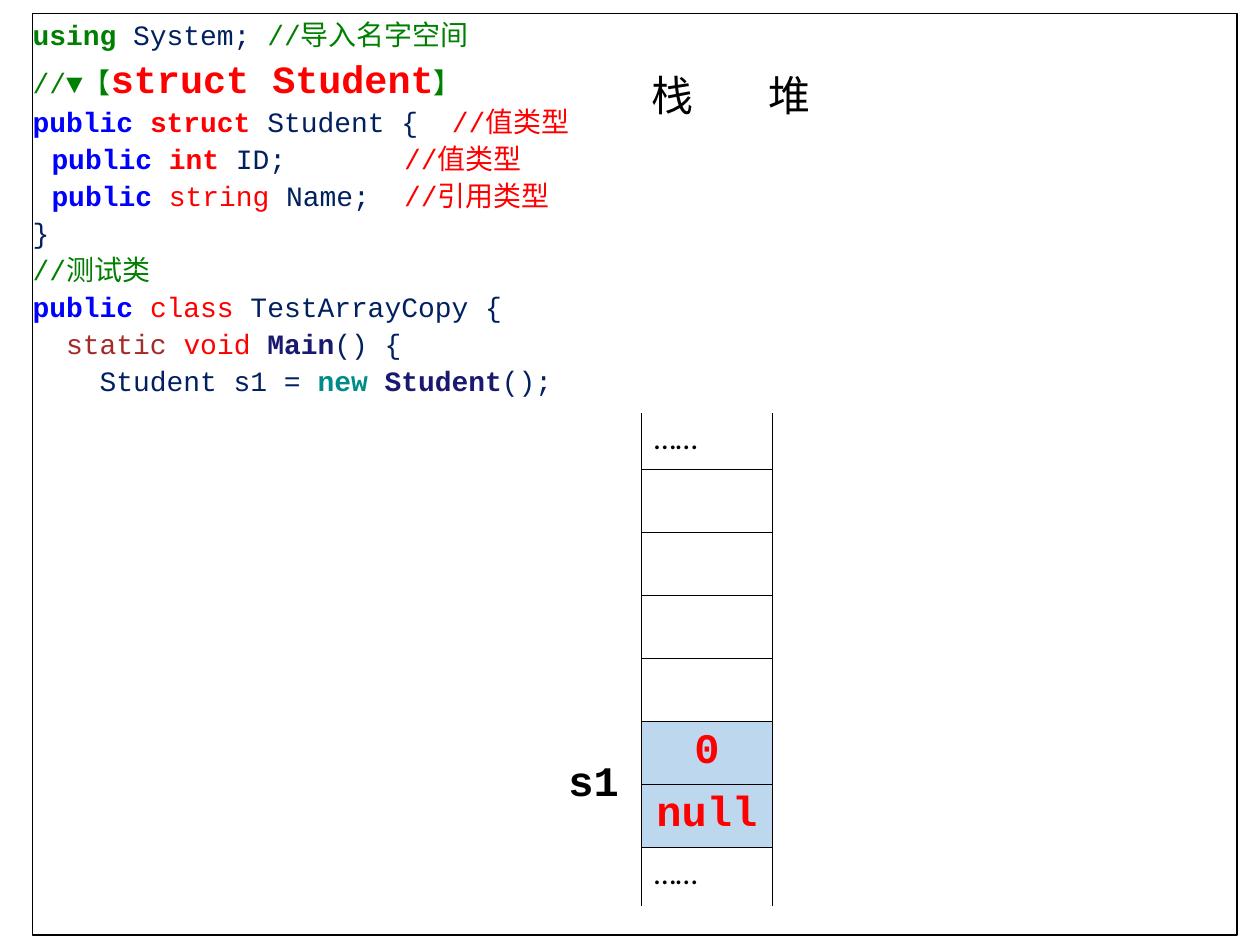
import pptx
import pptx.dml.color
import pptx.enum.shapes
import pptx.enum.text
import pptx.oxml
import pptx.oxml.ns
import pptx.util
from lxml import etree
from pptx.util import Cm, Pt

MONO, CJK, LATIN = "Courier New", "Noto Sans CJK SC", "Calibri"
NAVY, GREEN, RED, BLUE = "002060", "008000", "FF0000", "0000FF"
BROWN, MIDNIGHT, TEAL, BLACK = "A52A2A", "191970", "008B8B", "000000"
PALE_BLUE = "BDD7EE"

# Code: (tab stops in cm, [(text, colour, bold, size)]) for each line
FIELD_STOPS = (0.38, 7.49)
CODE = [
    ((), [("using", GREEN, True, 16), (" System; ", NAVY, False, 16),
          ("//导入名字空间", GREEN, False, 16)]),
    ((), [("//▼【", GREEN, False, 16), ("struct Student", RED, True, 22),
          ("】", GREEN, False, 16)]),
    ((8.45,), [("public ", BLUE, True, 16), ("struct", RED, True, 16),
               (" Student {\t", NAVY, False, 16), ("//值类型", RED, False, 16)]),
    (FIELD_STOPS, [("\tpublic ", BLUE, True, 16), ("int", RED, True, 16),
                   (" ID;\t", NAVY, False, 16), ("//值类型", RED, False, 16)]),
    (FIELD_STOPS, [("\tpublic ", BLUE, True, 16), ("string", RED, False, 16),
                   (" Name;\t", NAVY, False, 16), ("//引用类型", RED, False, 16)]),
    ((), [("}", NAVY, False, 16)]),
    ((), [("//测试类", GREEN, False, 16)]),
    ((), [("public ", BLUE, True, 16), ("class", RED, False, 16),
          (" TestArrayCopy {", NAVY, False, 16)]),
    ((), [("  static ", BROWN, False, 16), ("void ", RED, False, 16),
          ("Main", MIDNIGHT, True, 16), ("() {", NAVY, False, 16)]),
    ((), [("    Student s1 = ", NAVY, False, 16), ("new ", TEAL, True, 16),
          ("Student", MIDNIGHT, True, 16), ("();", NAVY, False, 16)]),
]

# Stack memory: (height in cm, value, sides with a border, fill)
STACK = [
    (1.14, "……", "LRB", None),
    (1.27, "", "LRTB", None),
    (1.27, "", "LRTB", None),
    (1.27, "", "LRTB", "FFFFFF"),
    (1.27, "", "LRTB", "FFFFFF"),
    (1.27, "0", "LRTB", PALE_BLUE),
    (1.27, "null", "LRTB", PALE_BLUE),
    (1.17, "……", "LRT", None),
]
VARIABLES = [(3, 4, ""), (5, 6, "s1")]  # first row, last row, name
HEADINGS = "栈\t堆"


def color(value):
    return pptx.dml.color.RGBColor.from_string(value)


def add_run(paragraph, text, size, font, fill=BLACK, bold=False):
    run = paragraph.add_run()
    run.text = text
    run.font.size, run.font.bold, run.font.name = Pt(size), bold, font
    run.font.fill.solid()
    run.font.fill.fore_color.rgb = color(fill)
    east_asian = pptx.oxml.parse_xml(
        f'<a:ea {pptx.oxml.ns.nsdecls("a")} typeface="{CJK}"/>')
    run.font._element.find(pptx.oxml.ns.qn("a:latin")).addnext(east_asian)


def set_tabs(paragraph, stops):
    if stops:
        tab_list = etree.SubElement(paragraph._p.get_or_add_pPr(),
                                    pptx.oxml.ns.qn("a:tabLst"))
        for stop in stops:
            etree.SubElement(tab_list, pptx.oxml.ns.qn("a:tab"),
                             pos=str(Cm(stop)), algn="l")


def format_cell(cell, sides, fill=None):
    properties = cell._tc.get_or_add_tcPr()
    for side in "LRTB":
        paint = (f'<a:solidFill><a:srgbClr val="{BLACK}"/></a:solidFill>'
                 if side in sides else "<a:noFill/>")
        properties.append(pptx.oxml.parse_xml(
            f'<a:ln{side} {pptx.oxml.ns.nsdecls("a")} w="{Pt(0.45)}">'
            f"{paint}</a:ln{side}>"))
    if fill:
        cell.fill.solid()
        cell.fill.fore_color.rgb = color(fill)
    else:
        cell.fill.background()


def add_code(slide):
    frame = slide.shapes.add_shape(
        pptx.enum.shapes.MSO_SHAPE.RECTANGLE,
        Cm(0.66), Cm(0.28), Cm(24.28), Cm(18.57))
    frame.shadow.inherit = False
    frame.fill.background()
    frame.line.color.rgb = color(BLACK)
    frame.line.width = Pt(0.75)
    code = frame.text_frame
    code.word_wrap = True
    code.vertical_anchor = pptx.enum.text.MSO_ANCHOR.TOP
    code.margin_left = code.margin_right = code.margin_top = code.margin_bottom = 0
    for number, (stops, runs) in enumerate(CODE):
        line = code.add_paragraph() if number else code.paragraphs[0]
        line.alignment = pptx.enum.text.PP_ALIGN.LEFT
        line.line_spacing = 1.1
        set_tabs(line, stops)
        for text, fill, bold, size in runs:
            add_run(line, text, size, MONO, fill, bold)


def add_headings(slide):
    box = slide.shapes.add_textbox(Cm(12.88), Cm(1.27), Cm(7.7), Cm(1.27))
    box.text_frame.word_wrap = True
    heading = box.text_frame.paragraphs[0]
    set_tabs(heading, (2.36,))
    add_run(heading, HEADINGS, 24, CJK)


def add_stack(slide):
    height = sum(row[0] for row in STACK)
    stack = slide.shapes.add_table(
        len(STACK), 2, Cm(11), Cm(8.33), Cm(4.57), Cm(height)).table
    stack.first_row = stack.horz_banding = False
    stack.columns[0].width, stack.columns[1].width = Cm(1.93), Cm(2.64)

    # Memory cells
    for number, (row_height, value, sides, fill) in enumerate(STACK):
        stack.rows[number].height = Cm(row_height)
        format_cell(stack.cell(number, 0), "R")
        slot = stack.cell(number, 1)
        format_cell(slot, sides, fill)
        content = slot.text_frame.paragraphs[0]
        if value == "……":
            add_run(content, value, 18, LATIN)
        elif value:
            content.alignment = pptx.enum.text.PP_ALIGN.CENTER
            add_run(content, value, 24, MONO, RED, True)

    # Variable names beside the cells they occupy
    for first, last, name in VARIABLES:
        label = stack.cell(first, 0)
        label.merge(stack.cell(last, 0))
        label.vertical_anchor = pptx.enum.text.MSO_ANCHOR.MIDDLE
        if name:
            paragraph = label.text_frame.paragraphs[0]
            paragraph.alignment = pptx.enum.text.PP_ALIGN.CENTER
            add_run(paragraph, name, 24, MONO, BLACK, True)


def main():
    deck = pptx.Presentation()
    deck.slide_width, deck.slide_height = Cm(25.4), Cm(19.05)
    slide = deck.slides.add_slide(deck.slide_layouts[6])
    add_code(slide)
    add_headings(slide)
    add_stack(slide)
    deck.save("out.pptx")


if __name__ == "__main__":
    main()
